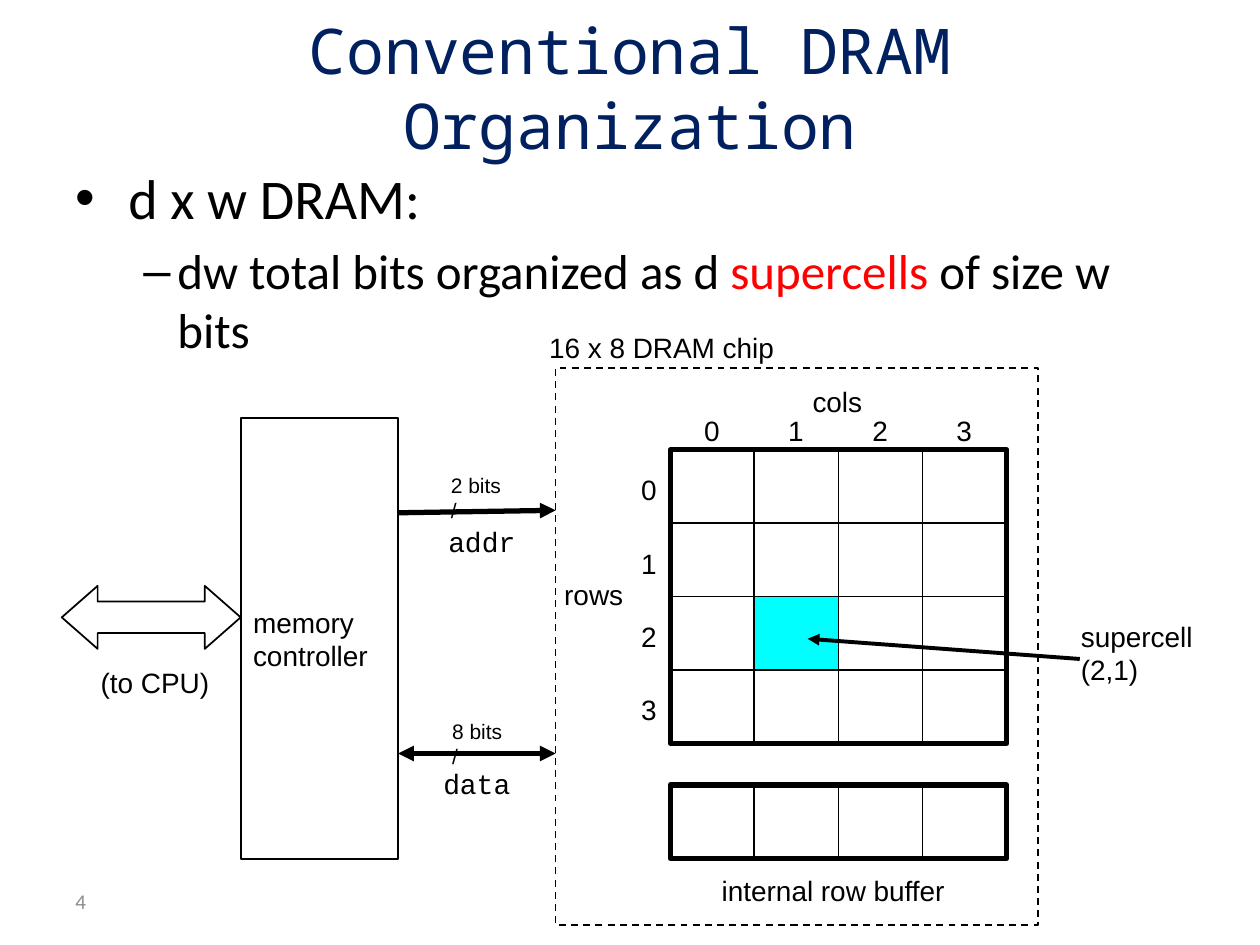
from lxml import etree
from pptx import Presentation
from pptx import util as u
from pptx.dml.color import RGBColor
from pptx.enum import dml, shapes, text
from pptx.oxml.ns import qn

BLACK, WHITE, CYAN, RED, NAVY, GREY = (
    "000000", "FFFFFF", "00FFFF", "FF0000", "002060", "8C8C8C")


def color(value):
    return RGBColor.from_string(value)


def add_span(para, words, size, font="Arial", hue=BLACK):
    span = para.add_run()
    span.text = words
    span.font.size = u.Pt(size)
    span.font.name = font
    span.font.color.rgb = color(hue)


def add_box(page, left, top, width, height):
    return page.shapes.add_textbox(
        u.Inches(left), u.Inches(top), u.Inches(width), u.Inches(height))


def write_lines(shape, lines, size, font="Arial", hue=BLACK, align=text.PP_ALIGN.LEFT):
    frame = shape.text_frame
    frame.vertical_anchor = text.MSO_ANCHOR.MIDDLE
    for i, line in enumerate(lines):
        para = frame.add_paragraph() if i else frame.paragraphs[0]
        para.alignment = align
        add_span(para, line, size, font, hue)
    return frame


def add_label(page, left, top, width, height, *lines, size=16, font="Arial"):
    frame = write_lines(add_box(page, left, top, width, height), lines, size, font)
    frame.word_wrap = False
    frame.auto_size = text.MSO_AUTO_SIZE.SHAPE_TO_FIT_TEXT


def add_block(page, left, top, width, height, fill=WHITE, weight=1,
              kind=shapes.MSO_SHAPE.RECTANGLE):
    block = page.shapes.add_shape(
        kind, u.Inches(left), u.Inches(top), u.Inches(width), u.Inches(height))
    block.shadow.inherit = False
    if fill:
        block.fill.solid()
        block.fill.fore_color.rgb = color(fill)
    else:
        block.fill.background()
    block.line.color.rgb = color(BLACK)
    block.line.width = u.Pt(weight)
    return block


def add_arrow(page, start, end, weight, ends=("tailEnd",)):
    arrow = page.shapes.add_connector(
        shapes.MSO_CONNECTOR.STRAIGHT, *map(u.Inches, start + end))
    arrow.line.color.rgb = color(BLACK)
    arrow.line.width = u.Pt(weight)
    for end_name in ends:
        etree.SubElement(arrow.line._get_or_add_ln(), qn(f"a:{end_name}"), type="triangle")
    etree.SubElement(arrow._element.spPr, qn("a:effectLst"))


def add_bullet(para, mark, margin, indent):
    props = para._p.get_or_add_pPr()
    props.set("marL", str(u.Inches(margin)))
    props.set("indent", str(u.Inches(indent)))
    etree.SubElement(props, qn("a:buFont"), typeface="Arial")
    etree.SubElement(props, qn("a:buChar"), char=mark)


def add_title(page, left, top, width, height):
    box = add_box(page, left, top, width, height)
    frame = write_lines(box, ["Conventional DRAM Organization"], 36,
                        "Noto Sans Mono", NAVY, text.PP_ALIGN.CENTER)
    frame.word_wrap = True


def add_body(page, left, top, width, height):
    frame = add_box(page, left, top, width, height).text_frame
    frame.word_wrap = True
    para = frame.paragraphs[0]
    add_bullet(para, "•", 0.42, -0.42)
    add_span(para, "d x w DRAM:", 32, "Calibri")

    para = frame.add_paragraph()
    add_bullet(para, "–", 0.81, -0.27)
    para.level = 1
    para.space_before = u.Pt(5.6)
    for words, hue in (("dw total bits organized as d ", BLACK),
                       ("supercells", RED), (" of size w bits", BLACK)):
        add_span(para, words, 28, "Calibri", hue)


def add_grid(page, left, top, width, height, rows, cols, marked=None):
    cell_w, cell_h = width / cols, height / rows
    for row in range(rows):
        for col in range(cols):
            add_block(page, left + col * cell_w, top + row * cell_h, cell_w, cell_h,
                      CYAN if (row, col) == marked else WHITE)
    add_block(page, left, top, width, height, None, 3)


def add_chip(page, left, top, width, height):
    grid_left, grid_top, grid_w, grid_h, count = left + 0.91, top + 0.65, 2.67, 2.33, 4
    # Supercell array with its row and column numbers
    add_label(page, left + 1.94, top + 0.08, 0.65, 0.37, "cols")
    add_label(page, left - 0.03, top + 1.61, 0.73, 0.37, "rows")
    add_grid(page, grid_left, grid_top, grid_w, grid_h, count, count, (2, 1))
    for i in range(count):
        add_label(page, grid_left + 0.17 + i * grid_w / count, grid_top - 0.34,
                  0.32, 0.37, str(i))
        add_label(page, grid_left - 0.33, grid_top + 0.13 + i * grid_h / count,
                  0.32, 0.37, str(i))
    # Row buffer
    add_grid(page, grid_left, top + 3.31, grid_w, grid_h / count, 1, count)
    add_label(page, left + 1.22, top + 3.96, 2.16, 0.37, "internal row buffer")
    # Chip outline and its heading
    outline = add_block(page, left, top, width, height, None)
    outline.line.dash_style = dml.MSO_LINE.DASH
    add_label(page, left - 0.15, top - 0.35, 2.07, 0.37, "16 x 8 DRAM chip")
    # Pointer to the marked supercell
    add_label(page, left + 4.07, top + 1.94, 1.18, 0.64, "supercell", "(2,1)")
    add_arrow(page, (left + 4.16, top + 2.31), (left + 2, top + 2.15), 2.25)


def add_buses(page, left, top, width, height):
    # Address bus
    add_arrow(page, (left, top + 0.37), (left + width, top + 0.35), 3)
    add_label(page, left + 0.3, top + 0.41, 0.74, 0.37, "addr", font="Courier New")
    add_label(page, left + 0.32, top, 0.64, 0.5, "2 bits", "/", size=12)
    # Data bus
    data_y = top + height - 0.42
    add_arrow(page, (left, data_y), (left + width, data_y), 3, ("headEnd", "tailEnd"))
    add_label(page, left + 0.26, data_y + 0.05, 0.74, 0.37, "data", font="Courier New")
    add_label(page, left + 0.33, data_y - 0.33, 0.64, 0.5, "8 bits", "/", size=12)


def add_controller(page, left, top, width, height):
    block = add_block(page, left, top, width, height)
    write_lines(block, ["memory", "controller"], 16).word_wrap = False
    # Link to the processor
    link = add_block(page, left - 1.42, top + 1.33, 1.42, 0.5,
                     kind=shapes.MSO_SHAPE.LEFT_RIGHT_ARROW)
    link.adjustments[0], link.adjustments[1] = 0.5, 0.57
    add_label(page, left - 1.21, top + 1.91, 1.09, 0.37, "(to CPU)")


def add_page_number(page, left, top, width, height):
    write_lines(add_box(page, left, top, width, height), ["4"], 12, "Calibri", GREY)


def main():
    deck = Presentation()
    deck.slide_width, deck.slide_height = u.Inches(10), u.Inches(7.5)
    page = deck.slides.add_slide(deck.slide_layouts[6])
    add_page_number(page, 0.5, 6.95, 2.33, 0.4)
    add_title(page, 0.5, 0.3, 9, 0.78)
    add_body(page, 0.5, 1.25, 9, 5.45)
    add_chip(page, 4.41, 2.92, 3.83, 4.42)
    add_buses(page, 3.16, 3.7, 1.25, 2.7)
    add_controller(page, 1.91, 3.32, 1.25, 3.5)
    deck.save("out.pptx")


if __name__ == "__main__":
    main()
